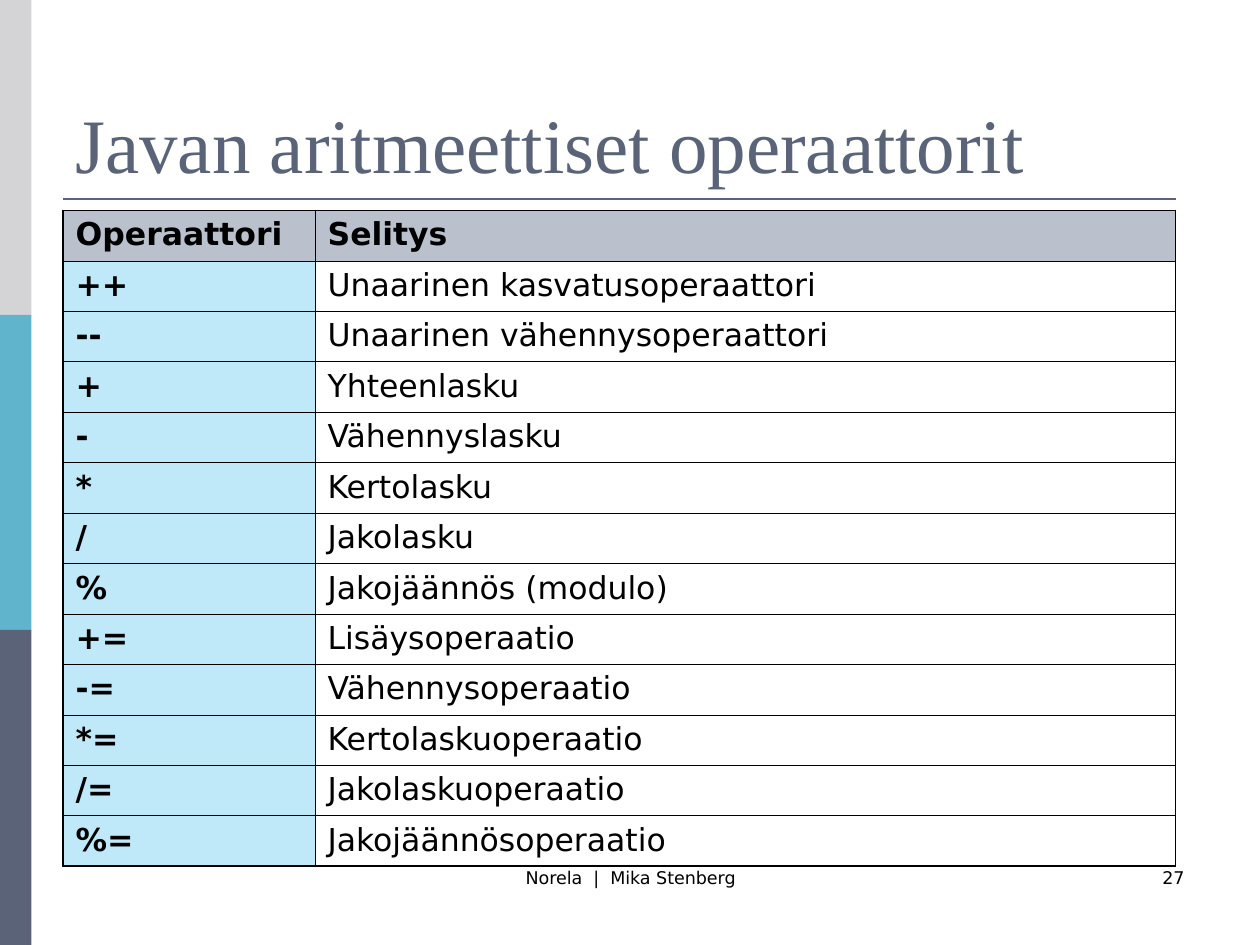
"""Slide listing the Java arithmetic operators with their explanations."""
from lxml import etree
from pptx import Presentation, util as u
from pptx.dml import color
from pptx.enum import shapes, text
from pptx.oxml import ns

COLORS = {
    "grey": "D4D4D6",
    "teal": "60B5CC",
    "slate": "5A6378",
    "header": "BAC0CC",
    "operator": "BFE8F8",
    "ink": "000000",
}
RGB = {key: color.RGBColor.from_string(value) for key, value in COLORS.items()}
OPERATORS = [
    ("Operaattori", "Selitys"),
    ("++", "Unaarinen kasvatusoperaattori"),
    ("--", "Unaarinen vähennysoperaattori"),
    ("+", "Yhteenlasku"),
    ("-", "Vähennyslasku"),
    ("*", "Kertolasku"),
    ("/", "Jakolasku"),
    ("%", "Jakojäännös (modulo)"),
    ("+=", "Lisäysoperaatio"),
    ("-=", "Vähennysoperaatio"),
    ("*=", "Kertolaskuoperaatio"),
    ("/=", "Jakolaskuoperaatio"),
    ("%=", "Jakojäännösoperaatio"),
]
OUTER, INNER = 1.08, 0.45


def write(frame, wording, ink, paragraph_format, font_format):
    paragraph = frame.paragraphs[0]
    run = paragraph.add_run()
    run.text = wording
    run.font.color.rgb = RGB[ink]
    for target, values in ((paragraph, paragraph_format), (run.font, font_format)):
        for attribute, value in values.items():
            setattr(target, attribute, value)


def add_border(cell, side, points):
    properties = cell._tc.get_or_add_tcPr()
    border = etree.SubElement(properties, ns.qn(f"a:ln{side}"), w=str(u.Pt(points)))
    fill = etree.SubElement(border, ns.qn("a:solidFill"))
    etree.SubElement(fill, ns.qn("a:srgbClr"), val=COLORS["ink"])


prs = Presentation()
prs.slide_width, prs.slide_height = u.Inches(10), u.Inches(7.5)
slide = prs.slides.add_slide(prs.slide_layouts[6])

for index, shade in enumerate(("grey", "teal", "slate")):
    band = slide.shapes.add_shape(
        shapes.MSO_SHAPE.RECTANGLE, 0, u.Inches(2.5 * index), u.Inches(0.25), u.Inches(2.5)
    )
    band.shadow.inherit = False
    band.fill.solid()
    band.fill.fore_color.rgb = RGB[shade]
    band.line.fill.background()

rule = slide.shapes.add_connector(
    shapes.MSO_CONNECTOR.STRAIGHT, u.Inches(0.5), u.Inches(1.58), u.Inches(9.33), u.Inches(1.58)
)
rule.line.color.rgb = RGB["slate"]
rule.line.width = u.Pt(1.5)
etree.SubElement(rule._element.spPr, ns.qn("a:effectLst"))

footer_font = {"name": "DejaVu Sans", "size": u.Pt(10)}
title_font = {"name": "Times New Roman", "size": u.Pt(44)}
align, anchor = text.PP_ALIGN, text.MSO_ANCHOR
for wording, box, ink, alignment, position, font in (
    ("Norela  |  Mika Stenberg", (3.42, 6.83, 3.17, 0.5), "ink", align.CENTER, anchor.TOP, footer_font),
    ("27", (7.17, 6.83, 2.33, 0.5), "ink", align.RIGHT, anchor.TOP, footer_font),
    ("Javan aritmeettiset operaattorit", (0.5, 0.3, 9, 1.25), "slate", align.LEFT, anchor.BOTTOM, title_font),
):
    frame = slide.shapes.add_textbox(*map(u.Inches, box)).text_frame
    frame.word_wrap = True
    frame.vertical_anchor = position
    write(frame, wording, ink, {"alignment": alignment}, font)

last_row = len(OPERATORS) - 1
operator_table = slide.shapes.add_table(
    len(OPERATORS), 2, u.Inches(0.5), u.Inches(1.67), u.Inches(8.83), u.Inches(0.4 * len(OPERATORS))
).table
for column, width in zip(operator_table.columns, (2, 6.83)):
    column.width = u.Inches(width)

for r, entry in enumerate(OPERATORS):
    operator_table.rows[r].height = u.Inches(0.4)
    for c, wording in enumerate(entry):
        cell = operator_table.cell(r, c)
        for side, is_outer in (("L", c == 0), ("R", c == 1), ("T", r == 0), ("B", r == last_row)):
            add_border(cell, side, OUTER if is_outer else INNER)
        if r == 0 or c == 0:
            cell.fill.solid()
            cell.fill.fore_color.rgb = RGB["header" if r == 0 else "operator"]
        else:
            cell.fill.background()
        write(
            cell.text_frame, wording, "ink", {"space_before": u.Pt(4.5)},
            {"name": "DejaVu Sans", "size": u.Pt(18), "bold": r == 0 or c == 0},
        )

prs.save("out.pptx")
